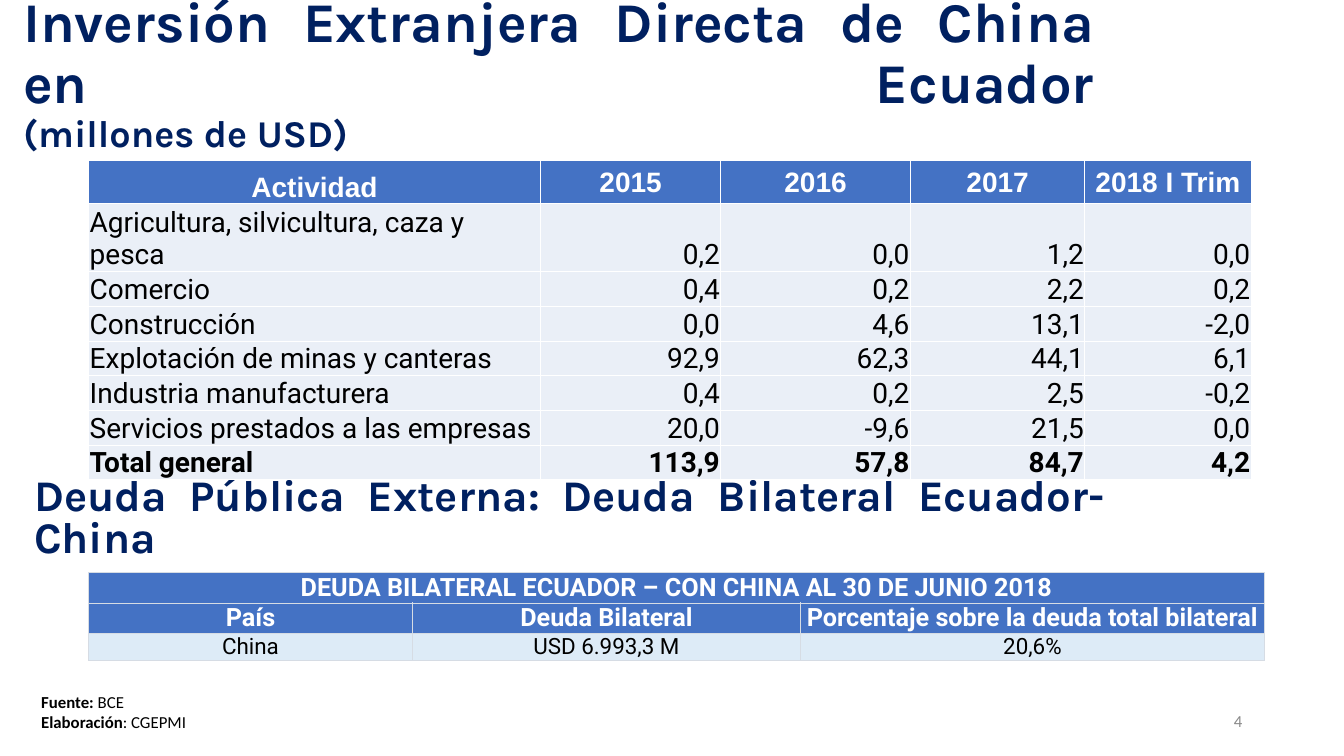
"""Build a slide on Chinese investment in Ecuador and the bilateral debt."""
import pptx
import pptx.dml.color
import pptx.enum.text
import pptx.oxml.ns
import pptx.util
from lxml import etree

Inches = pptx.util.Inches
Pt = pptx.util.Pt
ALIGN = pptx.enum.text.PP_ALIGN
ANCHOR = pptx.enum.text.MSO_ANCHOR

NAVY, BLUE, WHITE, BLACK, GRAY = "002060", "4472C4", "FFFFFF", "000000", "898989"

TITLE = [[("Inversión Extranjera Directa de China en Ecuador\v", 40, True),
          ("(millones de USD)", 27, True)]]
DEBT_TITLE = [[("Deuda Pública Externa: Deuda Bilateral Ecuador- China", 31.2, True)]]
SOURCES = [[("Fuente: ", 12, True), ("BCE", 12, False)],
           [("Elaboración", 12, True), (": CGEPMI", 12, False)]]
PAGE_NUMBER = [[("4", 12, False)]]

INVESTMENT = [
    ("Actividad", "2015", "2016", "2017", "2018 I Trim"),
    ("Agricultura, silvicultura, caza y pesca", "0,2", "0,0", "1,2", "0,0"),
    ("Comercio", "0,4", "0,2", "2,2", "0,2"),
    ("Construcción", "0,0", "4,6", "13,1", "-2,0"),
    ("Explotación de minas y canteras", "92,9", "62,3", "44,1", "6,1"),
    ("Industria manufacturera", "0,4", "0,2", "2,5", "-0,2"),
    ("Servicios prestados a las empresas", "20,0", "-9,6", "21,5", "0,0"),
    ("Total general", "113,9", "57,8", "84,7", "4,2"),
]
INVESTMENT_WIDTHS = [4.48, 1.79, 1.88, 1.73, 1.65]
INVESTMENT_HEIGHTS = [0.43] + [0.21] * 7

DEBT = [
    ("DEUDA BILATERAL ECUADOR – CON CHINA AL 30 DE JUNIO 2018", "", ""),
    ("País", "Deuda Bilateral", "Porcentaje sobre la deuda total bilateral"),
    ("China", "USD 6.993,3 M", "20,6%"),
]
DEBT_WIDTHS = [3.21, 3.85, 4.6]
DEBT_HEIGHTS = [0.24, 0.22, 0.21]


def color(value):
    return pptx.dml.color.RGBColor.from_string(value)


def style(span, font, size, fill, bold):
    span.font.name = font
    span.font.size = Pt(size)
    span.font.bold = bold
    span.font.color.rgb = color(fill)


def add_text(page, place, paragraphs, font, fill, align, anchor, spacing=1.0):
    frame = page.shapes.add_textbox(*map(Inches, place)).text_frame
    frame.word_wrap = True
    frame.vertical_anchor = anchor
    for index, spans in enumerate(paragraphs):
        para = frame.add_paragraph() if index else frame.paragraphs[0]
        para.alignment = align
        para.line_spacing = spacing
        for text, size, bold in spans:
            span = para.add_run()
            span.text = text.rstrip("\v")
            style(span, font, size, fill, bold)
            if text.endswith("\v"):
                para.add_line_break()


def add_borders(cell, fill, width):
    properties = cell._tc.get_or_add_tcPr()
    qn = pptx.oxml.ns.qn
    for side in ("a:lnL", "a:lnR", "a:lnT", "a:lnB"):
        line = etree.SubElement(properties, qn(side), w=str(Pt(width)))
        solid = etree.SubElement(line, qn("a:solidFill"))
        etree.SubElement(solid, qn("a:srgbClr"), val=fill)


def add_grid(page, left, top, rows, widths, heights, border, insets, cell_look):
    table = page.shapes.add_table(
        len(rows), len(widths), Inches(left), Inches(top),
        Inches(sum(widths)), Inches(sum(heights))).table
    table.horz_banding = False
    for column, width in zip(table.columns, widths):
        column.width = Inches(width)
    for r, values in enumerate(rows):
        table.rows[r].height = Inches(heights[r])
        for c, value in enumerate(values):
            font, size, ink, bold, fill, align, anchor = cell_look(r, c)
            cell = table.cell(r, c)
            add_borders(cell, *border)
            cell.fill.solid()
            cell.fill.fore_color.rgb = color(fill)
            (cell.margin_left, cell.margin_top,
             cell.margin_right, cell.margin_bottom) = map(Inches, insets)
            cell.vertical_anchor = anchor
            cell.text_frame.text = value
            para = cell.text_frame.paragraphs[0]
            para.alignment = align
            for span in para.runs:
                style(span, font, size, ink, bold)
    return table


def investment_look(r, c):
    if r == 0:
        anchor = ANCHOR.MIDDLE if c else ANCHOR.BOTTOM
        return "Arial", 20, WHITE, True, BLUE, ALIGN.CENTER, anchor
    align = ALIGN.RIGHT if c else ALIGN.LEFT
    is_total = r == len(INVESTMENT) - 1
    return "Roboto", 20, BLACK, is_total, "EAEFF7", align, ANCHOR.BOTTOM


def debt_look(r, c):
    if r < 2:
        return "Roboto", 18, WHITE, True, BLUE, ALIGN.CENTER, ANCHOR.MIDDLE
    anchor = ANCHOR.BOTTOM if c else ANCHOR.MIDDLE
    return "Roboto", 16, BLACK, False, "DDEBF7", ALIGN.CENTER, anchor


def main():
    deck = pptx.Presentation()
    deck.slide_width, deck.slide_height = Inches(13.33), Inches(7.5)
    page = deck.slides.add_slide(deck.slide_layouts[6])
    add_text(page, (0.13, 0.02, 10.82, 1.45), TITLE, "Karla", NAVY,
             ALIGN.JUSTIFY, ANCHOR.MIDDLE, 0.9)
    add_text(page, (0.31, 6.81, 5.69, 0.71), SOURCES, "Calibri", BLACK,
             ALIGN.LEFT, ANCHOR.TOP)
    add_text(page, (0.24, 4.88, 10.82, 0.55), DEBT_TITLE, "Karla", NAVY,
             ALIGN.JUSTIFY, ANCHOR.MIDDLE, 0.8)
    add_text(page, (9.42, 6.95, 3, 0.4), PAGE_NUMBER, "Calibri", GRAY,
             ALIGN.RIGHT, ANCHOR.MIDDLE)
    debt = add_grid(page, 0.88, 5.68, DEBT, DEBT_WIDTHS, DEBT_HEIGHTS,
                    ("D6DCE4", 0.5), (0, 0, 0, 0), debt_look)
    debt.cell(0, 0).merge(debt.cell(0, 2))
    add_grid(page, 0.88, 1.59, INVESTMENT, INVESTMENT_WIDTHS, INVESTMENT_HEIGHTS,
             (WHITE, 1), (0.01, 0.01, 0.01, 0), investment_look)
    deck.save("out.pptx")


if __name__ == "__main__":
    main()
